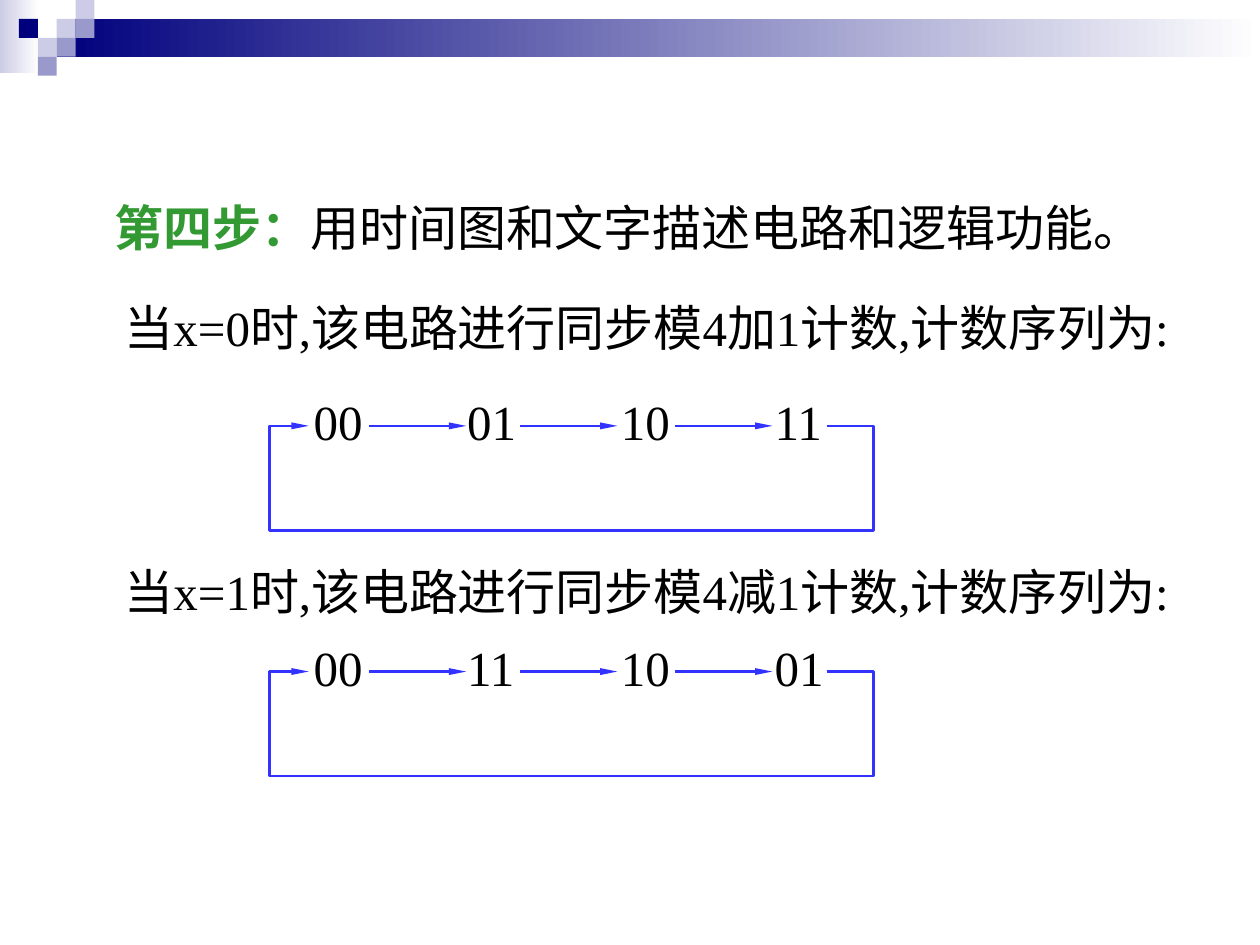
from lxml import etree
from pptx import Presentation
from pptx.dml.color import RGBColor
from pptx.enum.shapes import MSO_CONNECTOR, MSO_SHAPE
from pptx.enum.text import MSO_ANCHOR, MSO_AUTO_SIZE, PP_ALIGN
from pptx.oxml.ns import qn
from pptx.util import Inches, Pt

RECTANGLE = MSO_SHAPE.RECTANGLE
STRAIGHT = MSO_CONNECTOR.STRAIGHT
TOP = MSO_ANCHOR.TOP
LEFT = PP_ALIGN.LEFT
NO_AUTOFIT = MSO_AUTO_SIZE.NONE

NAVY, LILAC, VIOLET, WHITE = "00007D", "CCCCE6", "9999CC", "FFFFFF"
GREEN, BLACK, BLUE = "339933", "000000", "3333FF"


def rgb(hex_color):
    return RGBColor.from_string(hex_color)


class SlideBuilder:
    text_format = {"name": "Times New Roman", "size": Pt(28)}
    text_height = 0.57
    line_width = Pt(1.5)

    def __init__(self, slide):
        self.slide = slide
        self.shapes = slide.shapes

    def start_group(self):
        """Put the elements that follow into a new group."""
        self.shapes = self.slide.shapes.add_group_shape().shapes

    def end_group(self):
        self.shapes = self.slide.shapes

    def block(self, left, top, width, height, *colors):
        """Add a rectangle: one colour fills it, two make a gradient."""
        block = self.shapes.add_shape(
            RECTANGLE, Inches(left), Inches(top), Inches(width), Inches(height))
        block.shadow.inherit = False
        block.line.fill.background()
        if len(colors) == 1:
            block.fill.solid()
            block.fill.fore_color.rgb = rgb(colors[0])
            return
        block.fill.gradient()
        block.fill.gradient_angle = 0
        for stop, color in zip(block.fill.gradient_stops, colors):
            stop.color.rgb = rgb(color)

    def fill_frame(self, frame, parts, wrap):
        """Fill a text frame with (text, colour, bold) parts."""
        frame_format = {"word_wrap": wrap, "auto_size": NO_AUTOFIT,
                        "vertical_anchor": TOP}
        for key, value in frame_format.items():
            setattr(frame, key, value)
        paragraph = frame.paragraphs[0]
        paragraph.alignment = LEFT
        for text, color, bold in parts:
            run = paragraph.add_run()
            run.text = text
            for key, value in (self.text_format | {"bold": bold}).items():
                setattr(run.font, key, value)
            run.font.color.rgb = rgb(color)

    def title(self, left, top, width, parts):
        title = self.slide.shapes.title
        position = {"left": left, "top": top, "width": width,
                    "height": self.text_height}
        for key, value in position.items():
            setattr(title, key, Inches(value))
        self.fill_frame(title.text_frame, parts, True)

    def text(self, left, top, width, content, wrap=False):
        box = self.shapes.add_textbox(
            Inches(left), Inches(top), Inches(width), Inches(self.text_height))
        self.fill_frame(box.text_frame, [(content, BLACK, False)], wrap)

    def style_arrow(self, arrow):
        arrow.line.color.rgb = rgb(BLUE)
        arrow.line.width = self.line_width
        outline = arrow.element.spPr.find(qn("a:ln"))
        etree.SubElement(outline, qn("a:tailEnd"),
                         type="triangle", w="sm", len="lg")

    def arrow(self, start, end, y):
        arrow = self.shapes.add_connector(
            STRAIGHT, Inches(start), Inches(y), Inches(end), Inches(y))
        self.style_arrow(arrow)
        etree.SubElement(arrow.element.spPr, qn("a:effectLst"))

    def return_path(self, points):
        corners = [(Inches(x), Inches(y)) for x, y in points]
        outline = self.shapes.build_freeform(*corners[0])
        outline.add_line_segments(corners[1:], close=False)
        loop = outline.convert_to_shape()
        loop.shadow.inherit = False
        loop.fill.background()
        self.style_arrow(loop)

    def header(self):
        self.start_group()
        self.block(0, 0, 0.31, 0.58, LILAC, WHITE)
        self.block(0.45, 0.15, 9.55, 0.3, NAVY, WHITE)
        side = 0.15
        tiles = [(3, 1, LILAC), (4, 0, LILAC), (4, 1, VIOLET), (2, 2, LILAC),
                 (1, 1, NAVY), (3, 2, VIOLET), (2, 3, VIOLET)]
        for column, row, color in tiles:
            self.block(column * side, row * side, side, side, color)
        self.end_group()

    def counting_cycle(self, top, states):
        """Draw the counter states in a row, with a loop back to the first."""
        self.start_group()
        for index, state in enumerate(states):
            self.text(2.39 + 1.22 * index, top, 0.59, state)
        axis = top + 0.32
        for start in (2.93, 4.13, 5.36):
            self.arrow(start, start + 0.77, axis)
        bottom = axis + 0.83
        self.return_path([(6.56, axis), (6.93, axis), (6.93, bottom),
                          (2.14, bottom), (2.14, axis), (2.45, axis)])
        self.end_group()


def main():
    presentation = Presentation()
    presentation.slide_width, presentation.slide_height = Inches(10), Inches(7.5)
    title_only = presentation.slide_layouts[5]
    builder = SlideBuilder(presentation.slides.add_slide(title_only))

    builder.header()
    builder.title(0.81, 1.52, 8.38, [
        ("第四步：", GREEN, True),
        ("用时间图和文字描述电路和逻辑功能。", BLACK, False)])

    counters = [
        (2.31, "当x=0时,该电路进行同步模4加1计数,计数序列为:",
         3.06, ["00", "01", "10", "11"]),
        (4.41, "当x=1时,该电路进行同步模4减1计数,计数序列为:",
         5.01, ["00", "11", "10", "01"])]
    for sentence_top, sentence, cycle_top, states in counters:
        builder.text(0.89, sentence_top, 8.58, sentence, wrap=True)
        builder.counting_cycle(cycle_top, states)

    presentation.save("out.pptx")


if __name__ == "__main__":
    main()
